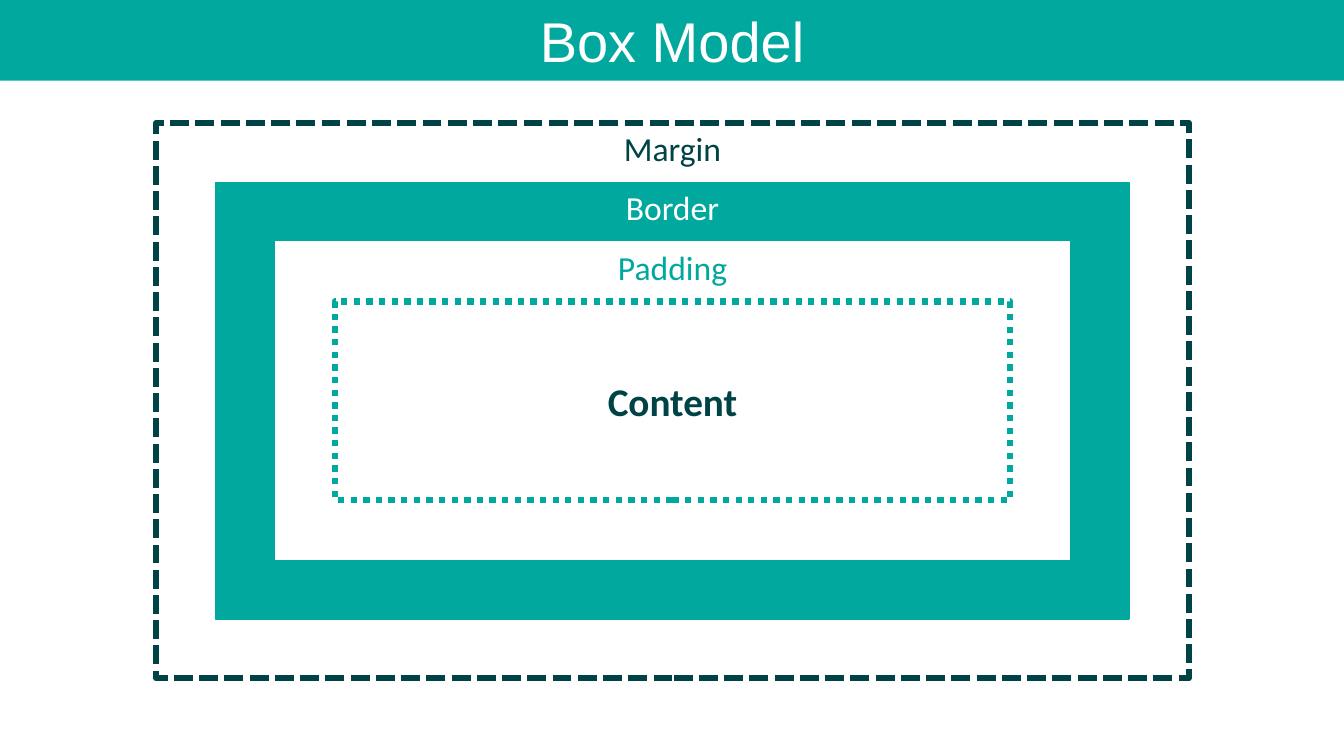
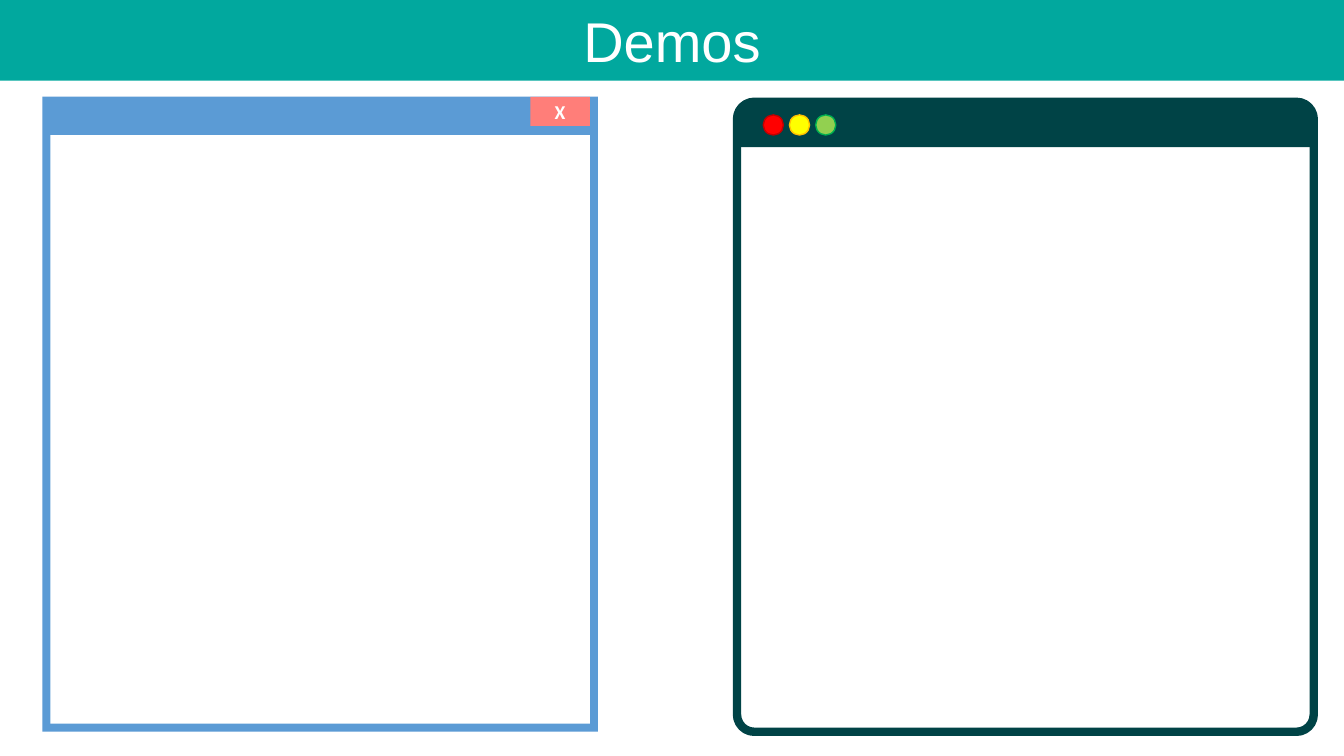
from pptx import Presentation, util as u
from pptx.dml.color import RGBColor
from pptx.enum import dml, shapes, text

TEAL = RGBColor(0x01, 0xA8, 0x9E)
DARK = RGBColor(0x00, 0x43, 0x46)
WHITE = RGBColor(0xFF, 0xFF, 0xFF)
BLUE = RGBColor(0x5B, 0x9B, 0xD5)
CORAL = RGBColor(0xFF, 0x7E, 0x79)
RED = RGBColor(0xFF, 0x00, 0x00)
DARK_RED = RGBColor(0xC0, 0x00, 0x00)
YELLOW = RGBColor(0xFF, 0xFF, 0x00)
AMBER = RGBColor(0xFF, 0xC0, 0x00)
LIME = RGBColor(0x92, 0xD0, 0x50)
GREEN = RGBColor(0x00, 0xB0, 0x50)

WIDTH, HEIGHT = 13.33, 7.5
BAND_HEIGHT = 0.8
TITLE_FONT, BODY_FONT = "Arial", "Calibri"
FORM = shapes.MSO_SHAPE
DASH = dml.MSO_LINE
TOP, MIDDLE = text.MSO_ANCHOR.TOP, text.MSO_ANCHOR.MIDDLE

MODEL_AREA = (1.55, 1.22, 10.24, 5.51)
LAYER_INSET = 0.59
LAYERS = [
    ("Margin", None, (DARK, 4.5, DASH.SQUARE_DOT), DARK, 24, False, TOP),
    ("Border", TEAL, (TEAL, 1, DASH.SOLID), WHITE, 24, False, TOP),
    ("Padding", WHITE, (WHITE, 1, DASH.SOLID), TEAL, 24, False, TOP),
    ("Content", WHITE, (TEAL, 4.5, DASH.ROUND_DOT), DARK, 28, True, MIDDLE),
]

SQUARE_WINDOW = (0.42, 0.96, 5.51, 6.3)
FRAME, SQUARE_BAR = 0.08, 0.38
CLOSE_BUTTON = (0.59, 0.29)

ROUND_WINDOW = (7.31, 1.01, 5.72, 6.25)
ROUND_BAR = 0.45
CORNER = 0.03
BUTTON_SIZE, BUTTON_STEP = 0.2, 0.26
BUTTON_OFFSET = (0.26, 0.13)
BUTTONS = [(RED, DARK_RED), (YELLOW, AMBER), (LIME, GREEN)]


def add_part(parent, form, area, fill=None, outline=None):
    part = parent.shapes.add_shape(form, *(u.Inches(length) for length in area))
    part.shadow.inherit = False
    if fill is None:
        part.fill.background()
    else:
        part.fill.solid()
        part.fill.fore_color.rgb = fill
    if outline is None:
        part.line.fill.background()
    else:
        color, weight, dash = outline
        part.line.color.rgb = color
        part.line.width = u.Pt(weight)
        part.line.dash_style = dash
    return part


def write(part, words, size, color, font=BODY_FONT, bold=False, anchor=MIDDLE):
    frame = part.text_frame
    frame.word_wrap = True
    frame.vertical_anchor = anchor
    paragraph = frame.paragraphs[0]
    paragraph.alignment = text.PP_ALIGN.CENTER
    run = paragraph.add_run()
    run.text = words
    run.font.name = font
    run.font.size = u.Pt(size)
    run.font.bold = bold
    run.font.color.rgb = color


def add_titled_slide(deck, title):
    slide = deck.slides.add_slide(deck.slide_layouts[6])
    band = add_part(slide, FORM.RECTANGLE, (0, 0, WIDTH, BAND_HEIGHT), TEAL)
    write(band, title, 40, WHITE, TITLE_FONT)
    return slide


def add_box_model(slide):
    model = slide.shapes.add_group_shape()
    left, top, width, height = MODEL_AREA
    for depth, (label, fill, outline, color, size, bold, anchor) in enumerate(LAYERS):
        inset = depth * LAYER_INSET
        area = (left + inset, top + inset, width - 2 * inset, height - 2 * inset)
        layer = add_part(model, FORM.RECTANGLE, area, fill, outline)
        write(layer, label, size, color, bold=bold, anchor=anchor)


def add_square_window(slide):
    window = slide.shapes.add_group_shape()
    left, top, width, height = SQUARE_WINDOW
    page = (left + FRAME, top + SQUARE_BAR, width - 2 * FRAME, height - SQUARE_BAR - FRAME)
    add_part(window, FORM.RECTANGLE, SQUARE_WINDOW, BLUE)
    add_part(window, FORM.RECTANGLE, page, WHITE)
    button_left = left + width - FRAME - CLOSE_BUTTON[0]
    close = add_part(window, FORM.RECTANGLE, (button_left, top, *CLOSE_BUTTON), CORAL)
    write(close, "X", 14, WHITE, bold=True)


def add_round_window(slide):
    window = slide.shapes.add_group_shape()
    left, top, width, _ = ROUND_WINDOW
    border = add_part(window, FORM.ROUNDED_RECTANGLE, ROUND_WINDOW,
                      outline=(DARK, 6, DASH.SOLID))
    border.adjustments[0] = CORNER
    add_part(window, FORM.ROUND_2_SAME_RECTANGLE, (left, top, width, ROUND_BAR), DARK)
    for place, (fill, rim) in enumerate(BUTTONS):
        area = (left + BUTTON_OFFSET[0] + place * BUTTON_STEP, top + BUTTON_OFFSET[1],
                BUTTON_SIZE, BUTTON_SIZE)
        add_part(window, FORM.OVAL, area, fill, (rim, 1, DASH.SOLID))


def main():
    deck = Presentation()
    deck.slide_width, deck.slide_height = u.Inches(WIDTH), u.Inches(HEIGHT)
    add_box_model(add_titled_slide(deck, "Box Model"))
    demos = add_titled_slide(deck, "Demos")
    add_square_window(demos)
    add_round_window(demos)
    deck.save("out.pptx")


if __name__ == "__main__":
    main()
